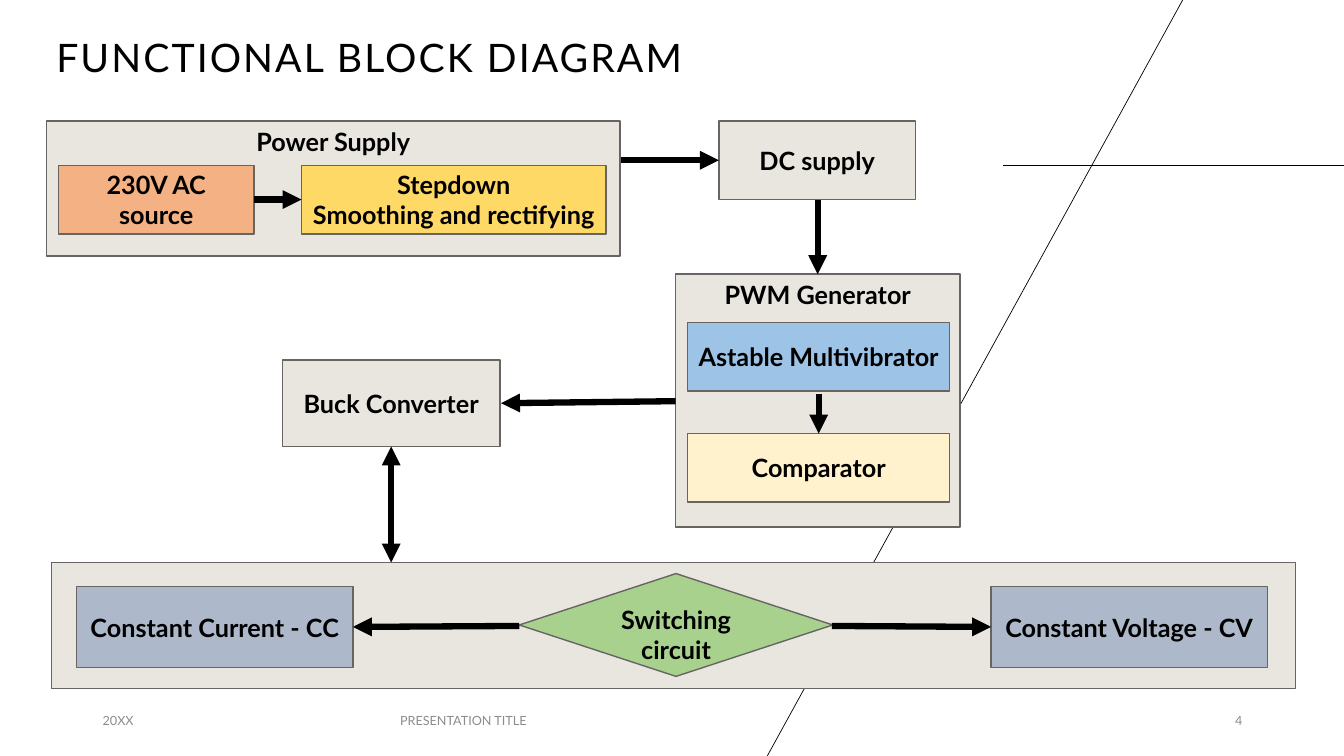
from dataclasses import dataclass

from lxml import etree
from pptx import Presentation
from pptx.dml.color import RGBColor
from pptx.enum.shapes import MSO_CONNECTOR, MSO_SHAPE
from pptx.enum.text import MSO_ANCHOR, PP_ALIGN
from pptx.oxml.ns import qn
from pptx.shapes.connector import Connector
from pptx.slide import Slide
from pptx.text.text import TextFrame
from pptx.util import Inches, Pt

STRAIGHT = MSO_CONNECTOR.STRAIGHT
RECTANGLE = MSO_SHAPE.RECTANGLE
DIAMOND = MSO_SHAPE.DIAMOND
TOP, MIDDLE = MSO_ANCHOR.TOP, MSO_ANCHOR.MIDDLE
LEFT, CENTER, RIGHT = PP_ALIGN.LEFT, PP_ALIGN.CENTER, PP_ALIGN.RIGHT

FONT = "Lato"
COLORS = {
    "black": "000000",
    "footer": "8C8C8C",
    "outline": "666562",
    "stone": "E9E6DF",
    "orange": "F4B183",
    "gold": "FFD966",
    "blue": "9DC3E6",
    "cream": "FFF2CC",
    "slate": "ADB9CA",
    "green": "A9D18E",
}


@dataclass(frozen=True)
class Block:
    text: str
    left: float
    top: float
    width: float
    height: float
    fill: str = "stone"
    anchor: MSO_ANCHOR = MIDDLE
    kind: MSO_SHAPE = RECTANGLE


@dataclass(frozen=True)
class Line:
    start: tuple[float, float]
    end: tuple[float, float]
    width: float = 4.5
    ends: tuple[str, ...] = ("a:tailEnd",)


@dataclass(frozen=True)
class Label:
    text: str
    left: float
    top: float
    width: float
    height: float
    align: PP_ALIGN = LEFT
    size: float = 9
    color: str = "footer"
    line_spacing: float = 1.0
    tracking: int = 0


BACKGROUND_LINES = [
    Line((9.95, 1.64), (13.33, 1.64), 0.5, ()),
    Line((11.73, 0), (7.61, 7.5), 0.5, ()),
]

LABELS = [
    Label("FUNCTIONAL BLOCK DIAGRAM", 0.46, 0.17, 6.89, 0.84,
          size=28, color="black", line_spacing=0.9, tracking=150),
    Label("20XX", 0.92, 6.95, 1.33, 0.4),
    Label("PRESENTATION TITLE", 2.69, 6.95, 3.81, 0.4, CENTER),
    Label("4", 9.42, 6.95, 3, 0.4, RIGHT),
]

BLOCKS = [
    Block("Power Supply", 0.46, 1.2, 5.69, 1.34, anchor=TOP),
    Block("230V AC source", 0.58, 1.64, 1.94, 0.68, "orange"),
    Block("Stepdown\nSmoothing and rectifying", 2.99, 1.64, 3.02, 0.68, "gold"),
    Block("DC supply", 7.13, 1.2, 1.95, 0.78),
    Block("PWM Generator", 6.7, 2.72, 2.82, 2.51, anchor=TOP),
    Block("Astable Multivibrator", 6.82, 3.2, 2.6, 0.68, "blue"),
    Block("Comparator", 6.82, 4.3, 2.6, 0.68, "cream"),
    Block("Buck Converter", 2.8, 3.57, 2.16, 0.86),
    Block("", 0.51, 5.58, 12.34, 1.25),
    Block("Constant Current - CC", 0.76, 5.82, 2.74, 0.8, "slate"),
    Block("Constant Voltage - CV", 9.83, 5.82, 2.74, 0.8, "slate"),
    Block("Switching circuit", 5.15, 5.69, 3.11, 1.02, "green", TOP, DIAMOND),
]

ARROWS = [
    Line((2.52, 1.98), (2.99, 1.98)),
    Line((6.16, 1.59), (7.13, 1.59)),
    Line((8.11, 1.98), (8.11, 2.72)),
    Line((8.12, 3.91), (8.12, 4.3)),
    Line((6.7, 3.98), (4.97, 4)),
    Line((3.88, 4.43), (3.88, 5.58), ends=("a:headEnd", "a:tailEnd")),
    Line((5.15, 6.21), (3.5, 6.22)),
    Line((8.25, 6.21), (9.83, 6.22)),
]


def rgb(name: str) -> RGBColor:
    return RGBColor.from_string(COLORS[name])


def format_text(text_frame: TextFrame, align: PP_ALIGN, size: float, color: str,
                bold: bool = False, line_spacing: float = 1.0,
                tracking: int = 0) -> None:
    for paragraph in text_frame.paragraphs:
        paragraph.alignment = align
        paragraph.line_spacing = line_spacing
        for run in paragraph.runs:
            run.font.name = FONT
            run.font.size = Pt(size)
            run.font.bold = bold
            run.font.color.rgb = rgb(color)
            if tracking:
                run.font._element.set("spc", str(tracking))


def add_line(slide: Slide, line: Line) -> Connector:
    connector = slide.shapes.add_connector(
        STRAIGHT, *(Inches(value) for value in line.start + line.end))
    connector.line.color.rgb = rgb("black")
    connector.line.width = Pt(line.width)
    outline = connector.line._get_or_add_ln()
    for end in line.ends:
        etree.SubElement(outline, qn(end), type="triangle")
    etree.SubElement(connector._element.spPr, qn("a:effectLst"))
    return connector


def add_label(slide: Slide, label: Label) -> None:
    text_box = slide.shapes.add_textbox(
        Inches(label.left), Inches(label.top), Inches(label.width), Inches(label.height))
    text_frame = text_box.text_frame
    text_frame.word_wrap = True
    text_frame.vertical_anchor = MIDDLE
    text_frame.text = label.text
    format_text(text_frame, label.align, label.size, label.color,
                line_spacing=label.line_spacing, tracking=label.tracking)


def add_block(slide: Slide, block: Block) -> None:
    shape = slide.shapes.add_shape(
        block.kind, Inches(block.left), Inches(block.top),
        Inches(block.width), Inches(block.height))
    shape.shadow.inherit = False
    shape.fill.solid()
    shape.fill.fore_color.rgb = rgb(block.fill)
    shape.line.color.rgb = rgb("outline")
    shape.line.width = Pt(1)
    text_frame = shape.text_frame
    text_frame.word_wrap = True
    text_frame.vertical_anchor = block.anchor
    text_frame.text = block.text
    format_text(text_frame, CENTER, 18, "black", bold=True)


def main() -> None:
    presentation = Presentation()
    presentation.slide_width = Inches(13.33)
    presentation.slide_height = Inches(7.5)
    slide = presentation.slides.add_slide(presentation.slide_layouts[6])
    for line in BACKGROUND_LINES:
        add_line(slide, line)
    for label in LABELS:
        add_label(slide, label)
    for block in BLOCKS:
        add_block(slide, block)
    for arrow in ARROWS:
        add_line(slide, arrow)
    presentation.save("out.pptx")


if __name__ == "__main__":
    main()
